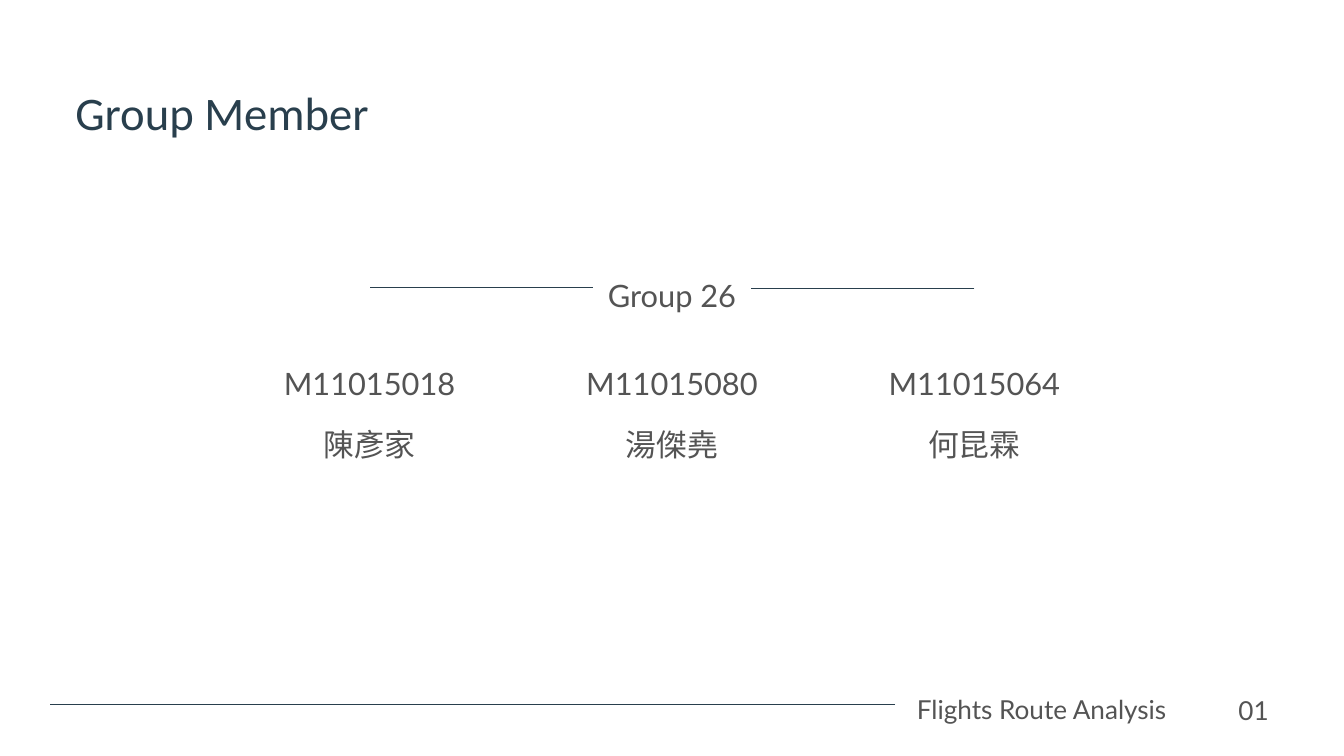
import dataclasses

import pptx
import pptx.dml.color
import pptx.enum.shapes
import pptx.enum.text
import pptx.oxml
import pptx.oxml.ns
import pptx.util
from pptx.util import Inches

ALIGN = pptx.enum.text.PP_ALIGN


@dataclasses.dataclass(frozen=True)
class Theme:
    navy: str = "293F4D"
    grey: str = "545454"
    latin_font: str = "Lato"
    title_font: str = "Calibri"
    title_size: float = 50
    body_size: float = 33
    footer_size: float = 28
    line_width: float = 0.75


THEME = Theme()
MEMBERS = [
    ("M11015018", "陳彥家"),
    ("M11015080", "湯傑堯"),
    ("M11015064", "何昆霖"),
]
COLUMN_LEFT, COLUMN_STEP = 4.2, 4.5
LABEL_WIDTH, LABEL_HEIGHT = 2.6, 0.83


def write_text(shape, text, font=THEME.latin_font, size=THEME.body_size,
               color=THEME.grey, align=ALIGN.CENTER, spacing=65.7):
    frame = shape.text_frame
    frame.margin_left = frame.margin_top = 0
    frame.margin_right = frame.margin_bottom = 0
    frame.word_wrap = True
    frame.auto_size = pptx.enum.text.MSO_AUTO_SIZE.SHAPE_TO_FIT_TEXT
    frame.vertical_anchor = pptx.enum.text.MSO_ANCHOR.TOP
    paragraph = frame.paragraphs[0]
    paragraph.alignment = align
    paragraph.line_spacing = pptx.util.Pt(spacing)
    paragraph.space_before = pptx.util.Pt(0)
    run = paragraph.add_run()
    run.text = text
    run.font.name = font
    run.font.size = pptx.util.Pt(size)
    run.font.color.rgb = pptx.dml.color.RGBColor.from_string(color)


def add_label(slide, text, left, top, width=LABEL_WIDTH, height=LABEL_HEIGHT, **style):
    shape = slide.shapes.add_textbox(Inches(left), Inches(top), Inches(width), Inches(height))
    write_text(shape, text, **style)


def add_rule(slide, start, end, top):
    connector = slide.shapes.add_connector(
        pptx.enum.shapes.MSO_CONNECTOR.STRAIGHT,
        Inches(start), Inches(top), Inches(end), Inches(top))
    connector.line.color.rgb = pptx.dml.color.RGBColor.from_string(THEME.navy)
    connector.line.width = pptx.util.Pt(THEME.line_width)
    properties = connector.element.find(pptx.oxml.ns.qn("p:spPr"))
    properties.append(pptx.oxml.parse_xml(
        f'<a:effectLst {pptx.oxml.ns.nsdecls("a")}/>'))


def add_title(slide, text):
    title = slide.shapes.title
    title.left, title.top = Inches(1.12), Inches(0.7)
    title.width, title.height = Inches(12.47), Inches(1.25)
    write_text(title, text, font=THEME.title_font, size=THEME.title_size,
               color=THEME.navy, align=ALIGN.JUSTIFY, spacing=99.5)


def add_group_heading(slide):
    add_label(slide, "Group 26", COLUMN_LEFT + COLUMN_STEP, 3.75)
    add_rule(slide, 14.5, 11.18, 4.29)
    add_rule(slide, 8.82, 5.5, 4.28)


def add_members(slide):
    for column, (number, name) in enumerate(MEMBERS):
        left = COLUMN_LEFT + column * COLUMN_STEP
        add_label(slide, number, left, 5.07)
        add_label(slide, name, left, 5.97, font=THEME.title_font)


def add_footer(slide):
    style = {"size": THEME.footer_size, "spacing": 55.7}
    add_label(slide, "Flights Route Analysis ", 13.6, 10.01, 3.9, 0.7, **style)
    add_rule(slide, 13.32, 0.74, 10.48)
    add_label(slide, "01", 17.98, 10.02, 0.9, 0.7, align=ALIGN.RIGHT, **style)


def main():
    presentation = pptx.Presentation()
    presentation.slide_width = Inches(20)
    presentation.slide_height = Inches(11.25)
    slide = presentation.slides.add_slide(presentation.slide_layouts[5])
    add_title(slide, "Group Member")
    add_group_heading(slide)
    add_members(slide)
    add_footer(slide)
    presentation.save("out.pptx")


if __name__ == "__main__":
    main()
